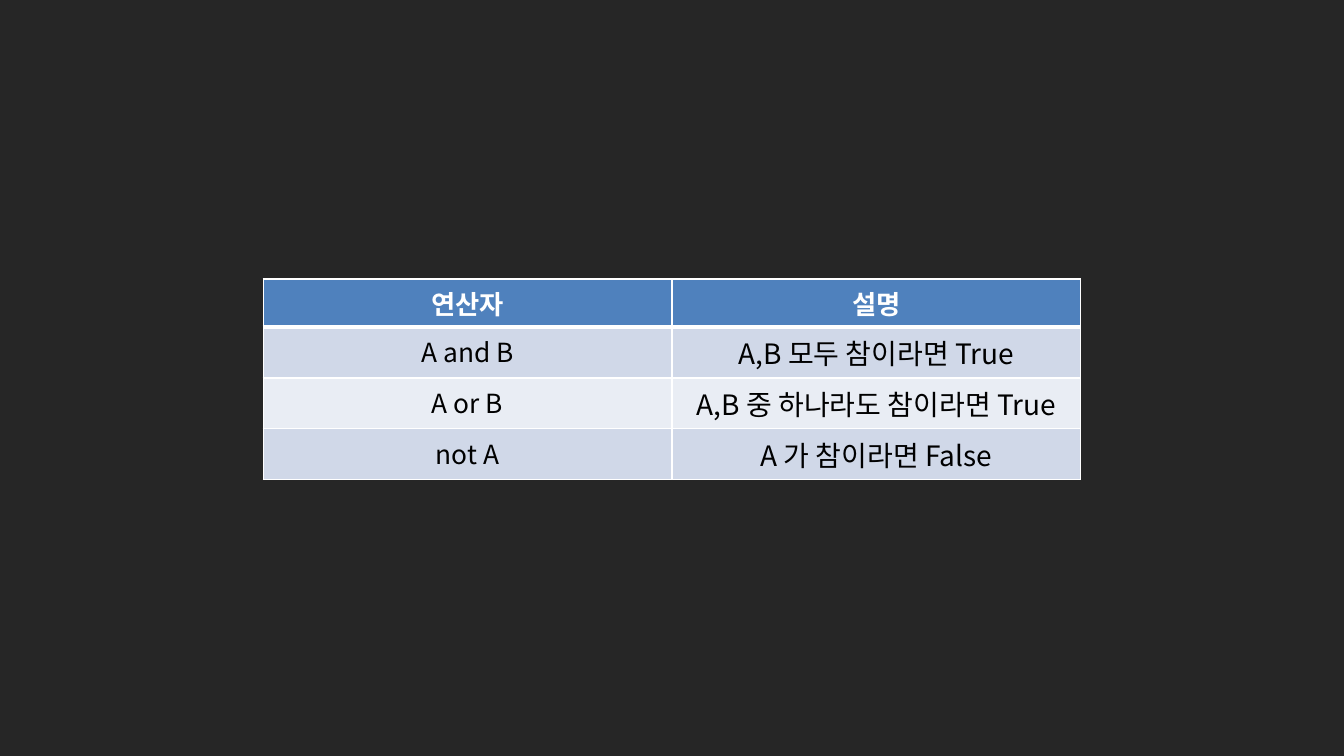
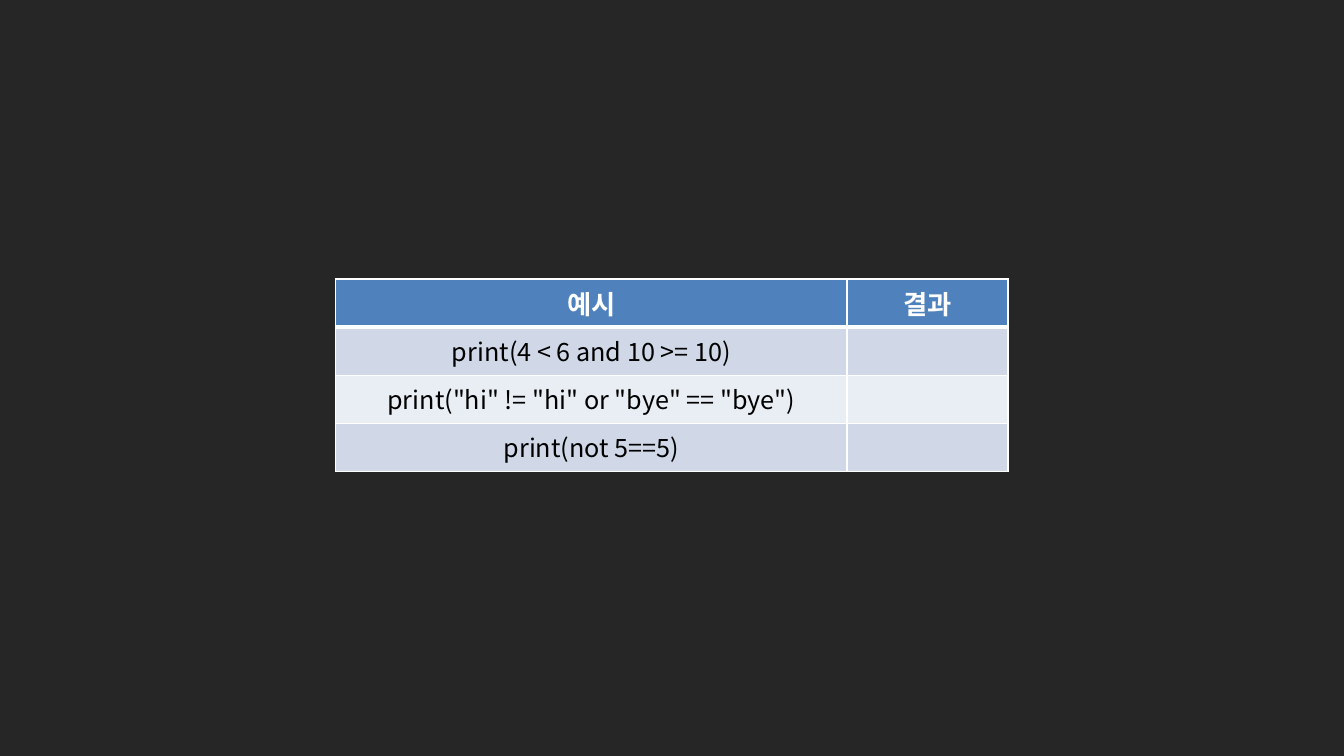
import pptx
import pptx.dml.color
import pptx.enum.text
import pptx.oxml
import pptx.oxml.ns
import pptx.util
from dataclasses import dataclass

Cm = pptx.util.Cm
Pt = pptx.util.Pt


@dataclass(frozen=True)
class Theme:
    font: str = "Noto Sans CJK KR"
    background: str = "262626"
    header_fill: str = "4F81BD"
    band_fills: tuple = ("D0D8E8", "E9EDF4")
    header_text: str = "FFFFFF"
    body_text: str = "000000"
    border: str = "FFFFFF"
    border_width: float = 1
    header_rule_width: float = 3
    label_size: float = 18.8
    description_size: float = 20
    code_size: float = 18


theme = Theme()


def write_text(cell, text, size, color, bold=False):
    """Write one centred line of text into a table cell."""
    paragraph = cell.text_frame.paragraphs[0]
    paragraph.alignment = pptx.enum.text.PP_ALIGN.CENTER
    run = paragraph.add_run()
    run.text = text
    run.font.size = Pt(size)
    run.font.bold = bold
    run.font.color.rgb = pptx.dml.color.RGBColor.from_string(color)
    run.font.name = theme.font
    east_asian = pptx.oxml.parse_xml(
        f'<a:ea {pptx.oxml.ns.nsdecls("a")} typeface="{theme.font}"/>')
    run.font._element.find(pptx.oxml.ns.qn("a:latin")).addnext(east_asian)


def format_cell(cell, fill, top_width, bottom_width):
    """Set the fill and the four borders of a table cell."""
    cell.fill.solid()
    cell.fill.fore_color.rgb = pptx.dml.color.RGBColor.from_string(fill)
    widths = {"lnL": theme.border_width, "lnR": theme.border_width,
              "lnT": top_width, "lnB": bottom_width}
    properties = cell._tc.get_or_add_tcPr()
    for position, (side, width) in enumerate(widths.items()):
        properties.insert(position, pptx.oxml.parse_xml(
            f'<a:{side} {pptx.oxml.ns.nsdecls("a")} w="{Pt(width)}">'
            f'<a:solidFill><a:srgbClr val="{theme.border}"/></a:solidFill></a:{side}>'))


# Presentation and shared background
presentation = pptx.Presentation()
presentation.slide_width = Cm(33.87)
presentation.slide_height = Cm(19.05)
background = presentation.slide_master.background.fill
background.solid()
background.fore_color.rgb = pptx.dml.color.RGBColor.from_string(theme.background)
blank_layout = presentation.slide_layouts[6]

# Table contents, one table per slide
table_top = Cm(7.03)
header_height = Cm(1.21)
tables = [
    {
        "column_widths": [Cm(10.3), Cm(10.3)],
        "body_height": Cm(1.28),
        "body_sizes": [theme.label_size, theme.description_size],
        "rows": [
            ["연산자", "설명"],
            ["A and B", "A,B 모두 참이라면 True"],
            ["A or B", "A,B 중 하나라도 참이라면 True"],
            ["not A", "A 가 참이라면 False"],
        ],
    },
    {
        "column_widths": [Cm(12.88), Cm(4.06)],
        "body_height": Cm(1.21),
        "body_sizes": [theme.code_size, theme.code_size],
        "rows": [
            ["예시", "결과"],
            ["print(4 < 6 and 10 >= 10)", ""],
            ['print("hi" != "hi" or "bye" == "bye")', ""],
            ["print(not 5==5)", ""],
        ],
    },
]

for content in tables:
    slide = presentation.slides.add_slide(blank_layout)
    rows = content["rows"]
    column_widths = content["column_widths"]
    row_heights = [header_height] + [content["body_height"]] * (len(rows) - 1)

    # Table centred across the slide
    width = sum(column_widths)
    left = (presentation.slide_width - width) // 2
    table = slide.shapes.add_table(
        len(rows), len(column_widths), left, table_top, width, sum(row_heights)).table
    for column, column_width in zip(table.columns, column_widths):
        column.width = column_width
    for row, row_height in zip(table.rows, row_heights):
        row.height = row_height

    # Header row, then banded body rows
    for row_index, texts in enumerate(rows):
        is_header = row_index == 0
        fill = theme.header_fill if is_header else theme.band_fills[(row_index - 1) % 2]
        top_width = theme.header_rule_width if row_index == 1 else theme.border_width
        bottom_width = theme.header_rule_width if is_header else theme.border_width
        for column_index, text in enumerate(texts):
            cell = table.cell(row_index, column_index)
            format_cell(cell, fill, top_width, bottom_width)
            if text:
                write_text(
                    cell, text,
                    size=theme.label_size if is_header else content["body_sizes"][column_index],
                    color=theme.header_text if is_header else theme.body_text,
                    bold=is_header)

presentation.save("out.pptx")
